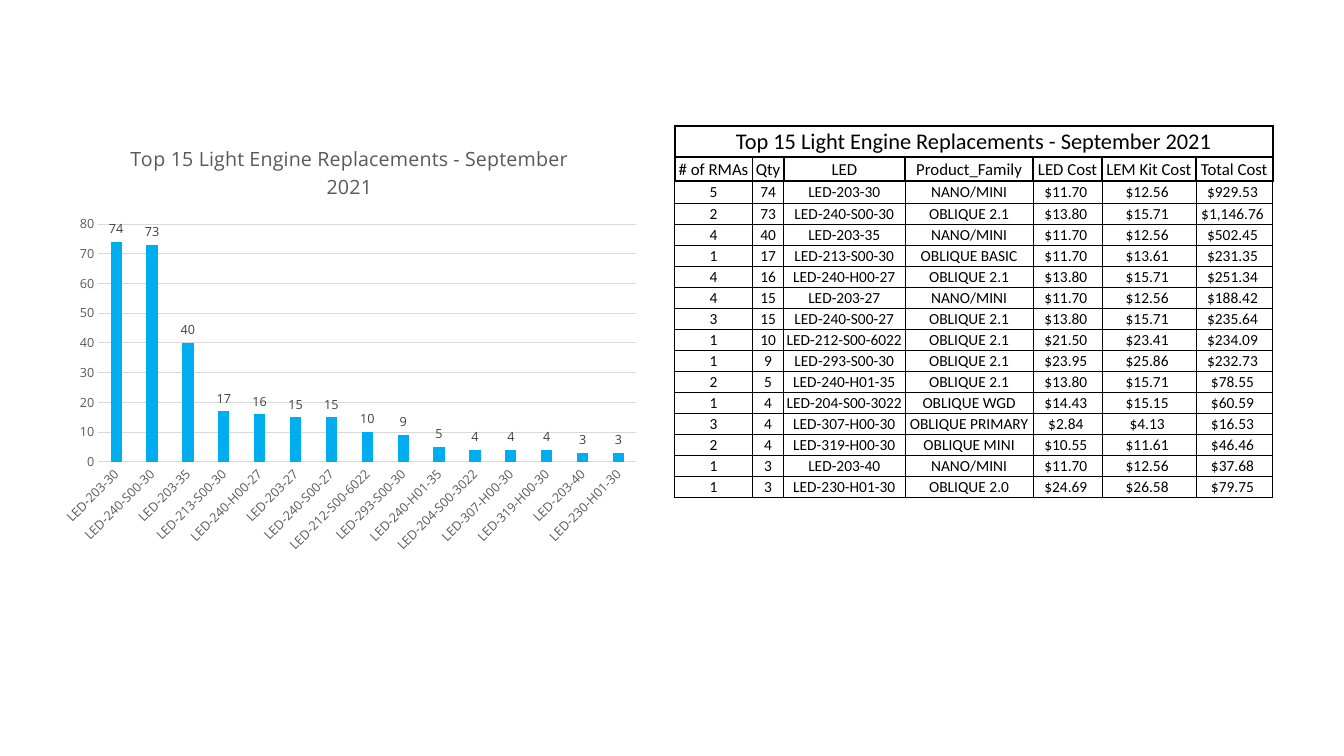
from dataclasses import dataclass

from lxml import etree
from pptx import Presentation
from pptx.chart.data import CategoryChartData
from pptx.dml.color import RGBColor
from pptx.enum.chart import XL_CHART_TYPE, XL_LABEL_POSITION, XL_TICK_MARK
from pptx.enum.text import MSO_ANCHOR, PP_ALIGN
from pptx.oxml.ns import qn
from pptx.util import Inches, Pt

COLUMN_CLUSTERED = XL_CHART_TYPE.COLUMN_CLUSTERED
OUTSIDE_END = XL_LABEL_POSITION.OUTSIDE_END
NO_TICK = XL_TICK_MARK.NONE
MIDDLE = MSO_ANCHOR.MIDDLE
CENTER = PP_ALIGN.CENTER

TITLE = "Top 15 Light Engine Replacements - September 2021"
HEADINGS = ("# of RMAs", "Qty", "LED", "Product_Family", "LED Cost", "LEM Kit Cost", "Total Cost")
REPLACEMENTS = (
    (5, 74, "LED-203-30", "NANO/MINI", 11.70, 12.56, 929.53),
    (2, 73, "LED-240-S00-30", "OBLIQUE 2.1", 13.80, 15.71, 1146.76),
    (4, 40, "LED-203-35", "NANO/MINI", 11.70, 12.56, 502.45),
    (1, 17, "LED-213-S00-30", "OBLIQUE BASIC", 11.70, 13.61, 231.35),
    (4, 16, "LED-240-H00-27", "OBLIQUE 2.1", 13.80, 15.71, 251.34),
    (4, 15, "LED-203-27", "NANO/MINI", 11.70, 12.56, 188.42),
    (3, 15, "LED-240-S00-27", "OBLIQUE 2.1", 13.80, 15.71, 235.64),
    (1, 10, "LED-212-S00-6022", "OBLIQUE 2.1", 21.50, 23.41, 234.09),
    (1, 9, "LED-293-S00-30", "OBLIQUE 2.1", 23.95, 25.86, 232.73),
    (2, 5, "LED-240-H01-35", "OBLIQUE 2.1", 13.80, 15.71, 78.55),
    (1, 4, "LED-204-S00-3022", "OBLIQUE WGD", 14.43, 15.15, 60.59),
    (3, 4, "LED-307-H00-30", "OBLIQUE PRIMARY", 2.84, 4.13, 16.53),
    (2, 4, "LED-319-H00-30", "OBLIQUE MINI", 10.55, 11.61, 46.46),
    (1, 3, "LED-203-40", "NANO/MINI", 11.70, 12.56, 37.68),
    (1, 3, "LED-230-H01-30", "OBLIQUE 2.0", 24.69, 26.58, 79.75),
)
COLUMN_WEIGHTS = (77, 31, 120, 127, 68, 93, 76)
ROW_WEIGHTS = (31, 24, 22) + (21,) * 14
PLOT_SHARES = {"x": 0.08, "y": 0.225, "w": 0.9, "h": 0.545}


@dataclass(frozen=True)
class Theme:
    """Colours, fonts and type sizes of the slide."""
    bar: str = "00AEEF"
    grid: str = "D9D9D9"
    axis_text: str = "595959"
    label_text: str = "404040"
    ink: str = "000000"
    paper: str = "FFFFFF"
    chart_font: str = "Open Sans"
    table_font: str = "Calibri"
    chart_title: float = 14
    chart_text: float = 9
    table_title: float = 16
    table_heading: float = 12
    table_body: float = 11
    thin: float = 0.5
    thick: float = 1.5
    axis_line: float = 0.75


def set_font(font, name, size, color):
    """Apply typeface, size and colour."""
    font.name, font.size, font.bold = name, Pt(size), False
    font.color.rgb = RGBColor.from_string(color)


def set_line(line, color, width):
    """Apply line colour and width."""
    line.color.rgb = RGBColor.from_string(color)
    line.width = Pt(width)


def set_border(cell, color, widths):
    """Draw the left, right, top and bottom borders of a cell."""
    properties = cell._tc.get_or_add_tcPr()
    for side, width in zip("LRTB", widths):
        line = etree.SubElement(properties, qn(f"a:ln{side}"), w=str(Pt(width)))
        fill = etree.SubElement(line, qn("a:solidFill"))
        etree.SubElement(fill, qn("a:srgbClr"), val=color)


def cell_text(value):
    """Show costs as dollars and everything else as it is."""
    return f"${value:,.2f} " if isinstance(value, float) else str(value)


class SlideBuilder:
    """Hold the theme and the current slide, and place elements by shares of its size."""

    def __init__(self, presentation, theme):
        """Add a blank slide."""
        self.size = (presentation.slide_width, presentation.slide_height) * 2
        self.slide = presentation.slides.add_slide(presentation.slide_layouts[6])
        self.theme = theme

    def box(self, *shares):
        """Turn shares into left, top, width and height."""
        return [int(share * side) for share, side in zip(shares, self.size)]

    def chart(self, shares, title, categories, values):
        """Add the column chart."""
        theme = self.theme
        data = CategoryChartData()
        data.categories = categories
        data.add_series("Series 1", values)
        chart = self.slide.shapes.add_chart(COLUMN_CLUSTERED, *self.box(*shares), data).chart
        chart.has_legend = False
        set_font(chart.font, theme.chart_font, theme.chart_text, theme.axis_text)
        chart.has_title = True
        chart.chart_title.include_in_layout = False
        paragraph = chart.chart_title.text_frame.paragraphs[0]
        paragraph.text = title
        set_font(paragraph.runs[0].font, theme.chart_font, theme.chart_title, theme.axis_text)

        for axis in (chart.category_axis, chart.value_axis):
            axis.major_tick_mark = axis.minor_tick_mark = NO_TICK
            set_font(axis.tick_labels.font, theme.chart_font, theme.chart_text, theme.axis_text)
        set_line(chart.category_axis.format.line, theme.grid, theme.axis_line)
        value_axis = chart.value_axis
        value_axis.minimum_scale, value_axis.maximum_scale, value_axis.major_unit = 0, 80, 10
        value_axis.format.line.fill.background()
        set_line(value_axis.major_gridlines.format.line, theme.grid, theme.axis_line)

        plot = chart.plots[0]
        plot.gap_width, plot.overlap, plot.vary_by_categories = 219, -27, False
        fill = plot.series[0].format.fill
        fill.solid()
        fill.fore_color.rgb = RGBColor.from_string(theme.bar)
        plot.has_data_labels = True
        labels = plot.data_labels
        labels.show_value, labels.position = True, OUTSIDE_END
        set_font(labels.font, theme.chart_font, theme.chart_text, theme.label_text)
        self.arrange_plot(chart)

    def arrange_plot(self, chart):
        """Slant the category labels and fix the inner plot area."""
        root = chart._chartSpace
        root.xpath(".//c:catAx/c:txPr/a:bodyPr")[0].set("rot", str(-45 * 60000))
        area = root.xpath(".//c:plotArea")[0]
        for layout in area.findall(qn("c:layout")):
            area.remove(layout)
        layout = etree.Element(qn("c:layout"))
        area.insert(0, layout)
        manual = etree.SubElement(layout, qn("c:manualLayout"))
        settings = {"layoutTarget": "inner", "xMode": "edge", "yMode": "edge", **PLOT_SHARES}
        for name, value in settings.items():
            etree.SubElement(manual, qn(f"c:{name}"), val=str(value))

    def table(self, shares, title, headings, records):
        """Add the table with a merged title row and a heading row."""
        theme = self.theme
        rows = [(title,) + ("",) * (len(headings) - 1), headings, *records]
        box = self.box(*shares)
        table = self.slide.shapes.add_table(len(rows), len(headings), *box).table
        table.first_row = table.horz_banding = False
        for column, weight in zip(table.columns, COLUMN_WEIGHTS):
            column.width = box[2] * weight // sum(COLUMN_WEIGHTS)
        for row, weight in zip(table.rows, ROW_WEIGHTS):
            row.height = box[3] * weight // sum(ROW_WEIGHTS)
        table.cell(0, 0).merge(table.cell(0, len(headings) - 1))
        sizes = [theme.table_title, theme.table_heading] + [theme.table_body] * len(records)
        for row_index, (values, size) in enumerate(zip(rows, sizes)):
            side = theme.thick if row_index < 2 else theme.thin
            top = theme.thick if row_index < 3 else theme.thin
            for column_index, value in enumerate(values):
                cell = table.cell(row_index, column_index)
                self.fill_cell(cell, cell_text(value), size, (side, side, top, side))

    def fill_cell(self, cell, text, size, widths):
        """Write and style one table cell."""
        theme = self.theme
        set_border(cell, theme.ink, widths)
        cell.fill.solid()
        cell.fill.fore_color.rgb = RGBColor.from_string(theme.paper)
        cell.vertical_anchor = MIDDLE
        cell.margin_left = cell.margin_right = cell.margin_top = Inches(0.01)
        cell.margin_bottom = 0
        paragraph = cell.text_frame.paragraphs[0]
        paragraph.text = text
        paragraph.alignment = CENTER
        set_font(paragraph.font, theme.table_font, size, theme.ink)
        for run in paragraph.runs:
            set_font(run.font, theme.table_font, size, theme.ink)


def main():
    """Build and save the slide."""
    presentation = Presentation()
    presentation.slide_width, presentation.slide_height = Inches(13.33), Inches(7.5)
    builder = SlideBuilder(presentation, Theme())
    quantities, models = zip(*(record[1:3] for record in REPLACEMENTS))
    builder.chart((0.0375, 1 / 6, 0.445, 0.577), TITLE, models, quantities)
    builder.table((0.502, 1 / 6, 0.445, 0.492), TITLE, HEADINGS, REPLACEMENTS)
    presentation.save("out.pptx")


main()
